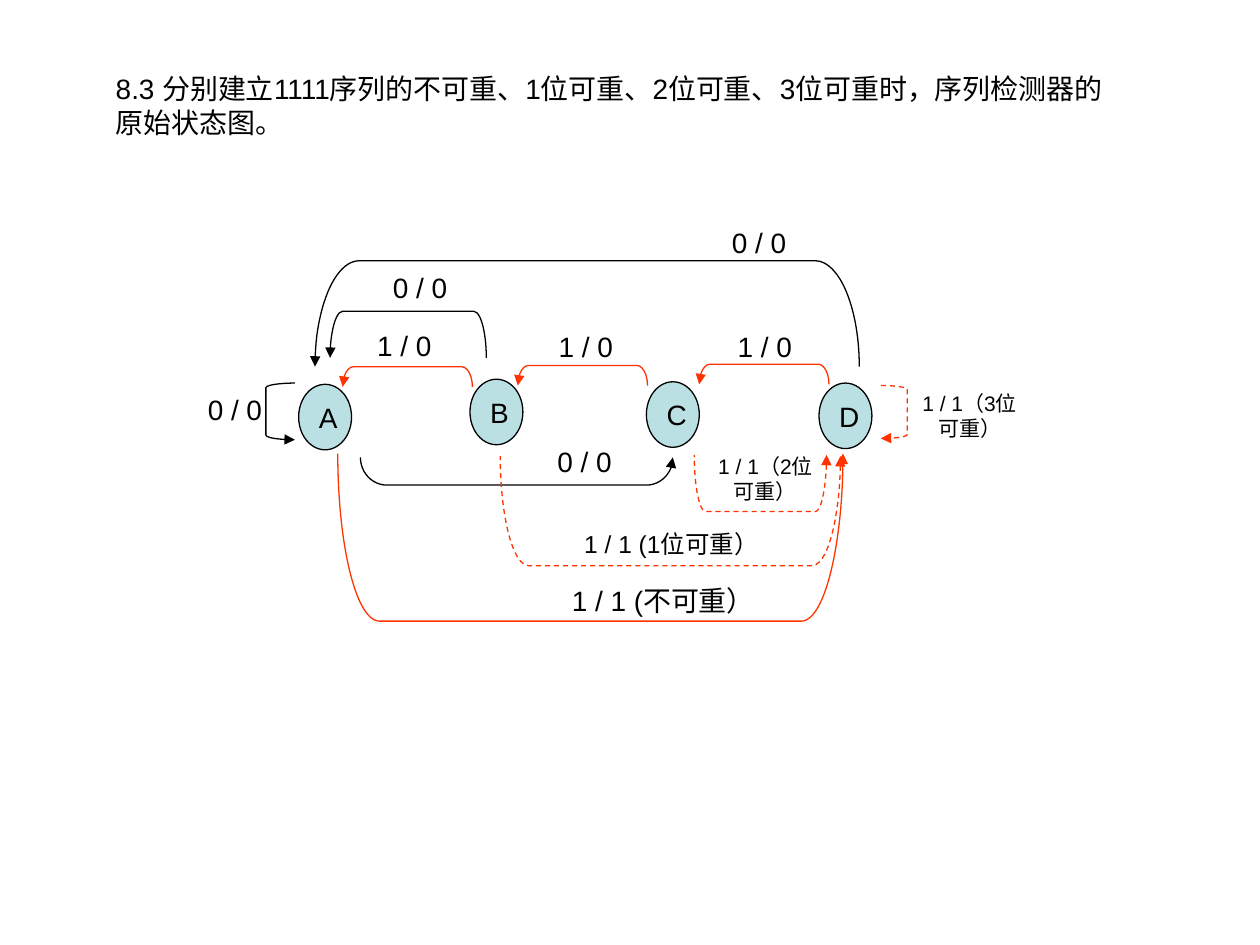
from lxml.etree import SubElement
from pptx import Presentation
from pptx.dml.color import RGBColor
from pptx.enum.dml import MSO_LINE
from pptx.enum.shapes import MSO_SHAPE
from pptx.enum.text import MSO_ANCHOR, PP_ALIGN
from pptx.oxml.ns import qn
from pptx.util import Inches, Pt

COLORS = {"ink": "000000", "red": "FF3300", "state": "BBE0E3"}
FONT = "Arial"
WIDTH, HEIGHT = 10, 7.5
COLUMNS = 100
CELL = WIDTH / COLUMNS

TITLE = "8.3 分别建立1111序列的不可重、1位可重、2位可重、3位可重时，序列检测器的原始状态图。"
TITLE_BOX = (8.2, 5.2, 81.5, 6.4)
STATE_SIZE = (4.2, 5.2)
STATES = [("A", 23.7, 30.5), ("B", 37.3, 30.1), ("C", 51.3, 30.3), ("D", 65, 30.4)]

ROTATION = {"down": 270, "up": 90, "right": 180, "left": 0}
STEPS = [(27.2, 29.1), (41.1, 29), (55.5, 28.9)]
# opening, left, top, width, height, corner, color, dashed
ARCS = [("down", left, top, 10.3, 1.6, 0.86, "red", False) for left, top in STEPS] + [
    ("up", 26.8, 36, 40.1, 13.3, 3.3, "red", False),
    ("right", 21.1, 30.4, 2.3, 4.5, 0.37, "ink", False),
    ("down", 25, 20.7, 43.2, 8.4, 3.5, "ink", False),
    ("up", 28.6, 36.3, 24.8, 2.2, 2.1, "ink", False),
    ("up", 55.1, 36.1, 10.5, 4.5, 0.9, "red", True),
    ("up", 39.7, 36.2, 27, 8.7, 2.25, "red", True),
    ("left", 69.9, 30.6, 2.1, 4.2, 0.3, "red", True),
    ("down", 26.2, 24.7, 12.4, 3.7, 1, "ink", False),
]

LABEL_HEIGHT = {16: 3.7, 14: 3.4, 12: 5}
LABELS = [
    ("1 / 0", 28.8, 25.6, 6.6, 16),
    ("1 / 0", 43.2, 25.7, 6.6, 16),
    ("1 / 0", 57.4, 25.7, 6.6, 16),
    ("1 / 1 (不可重）", 43, 45.8, 19.3, 16),
    ("0 / 0", 15.3, 30.7, 6.7, 16),
    ("0 / 0", 29.5, 21, 7.7, 16),
    ("0 / 0", 42.3, 34.8, 8.2, 16),
    ("1 / 1（2位可重）", 55.5, 35.5, 10.5, 12),
    ("1 / 1 (1位可重）", 44.2, 41.5, 18.2, 14),
    ("1 / 1（3位可重）", 71.7, 30.5, 10.5, 12),
    ("0 / 0", 56.4, 17.4, 7.7, 16),
]


def grid(*cells):
    """Turn grid cells into slide lengths."""
    return [Inches(cell * CELL) for cell in cells]


def write(shape, text, size, align):
    """Put formatted text into a shape."""
    frame = shape.text_frame
    frame.word_wrap = True
    frame.text = text
    para = frame.paragraphs[0]
    para.alignment = align
    for span in para.runs:
        span.font.name = FONT
        span.font.size = Pt(size)
        span.font.color.rgb = RGBColor.from_string(COLORS["ink"])


def outline(shape, color):
    """Draw a thin line around a shape without a shadow."""
    shape.shadow.inherit = False
    shape.line.color.rgb = RGBColor.from_string(COLORS[color])
    shape.line.width = Pt(0.75)


def add_state(page, name, left, top):
    """Draw one state as a labelled ellipse."""
    state = page.shapes.add_shape(MSO_SHAPE.OVAL, *grid(left, top, *STATE_SIZE))
    outline(state, "ink")
    state.fill.solid()
    state.fill.fore_color.rgb = RGBColor.from_string(COLORS["state"])
    state.text_frame.vertical_anchor = MSO_ANCHOR.MIDDLE
    write(state, name, 16, PP_ALIGN.CENTER)


def add_arc(page, opening, left, top, width, height, corner, color, dashed):
    """Draw one transition as a turned bracket with an arrowhead."""
    turned = opening in ("down", "up")
    depth, span = (height, width) if turned else (width, height)
    box = grid(left + (width - depth) / 2, top + (height - span) / 2, depth, span)
    arc = page.shapes.add_shape(MSO_SHAPE.RIGHT_BRACKET, *box)
    arc.rotation = ROTATION[opening]
    arc.adjustments[0] = corner / depth
    arc.fill.background()
    outline(arc, color)
    if dashed:
        arc.line.dash_style = MSO_LINE.DASH
    arrow_end = "a:tailEnd" if opening == "left" else "a:headEnd"
    SubElement(arc.line._get_or_add_ln(), qn(arrow_end), type="triangle")


def add_label(page, text, left, top, width, height, size, align=PP_ALIGN.CENTER):
    """Add one wrapped text box."""
    box = page.shapes.add_textbox(*grid(left, top, width, height))
    write(box, text, size, align)


def main():
    """Build the state diagram slide."""
    deck = Presentation()
    deck.slide_width, deck.slide_height = Inches(WIDTH), Inches(HEIGHT)
    page = deck.slides.add_slide(deck.slide_layouts[6])
    add_label(page, TITLE, *TITLE_BOX, 16, PP_ALIGN.LEFT)
    for state in STATES:
        add_state(page, *state)
    for arc in ARCS:
        add_arc(page, *arc)
    for text, left, top, width, size in LABELS:
        add_label(page, text, left, top, width, LABEL_HEIGHT[size], size)
    deck.save("out.pptx")


if __name__ == "__main__":
    main()
